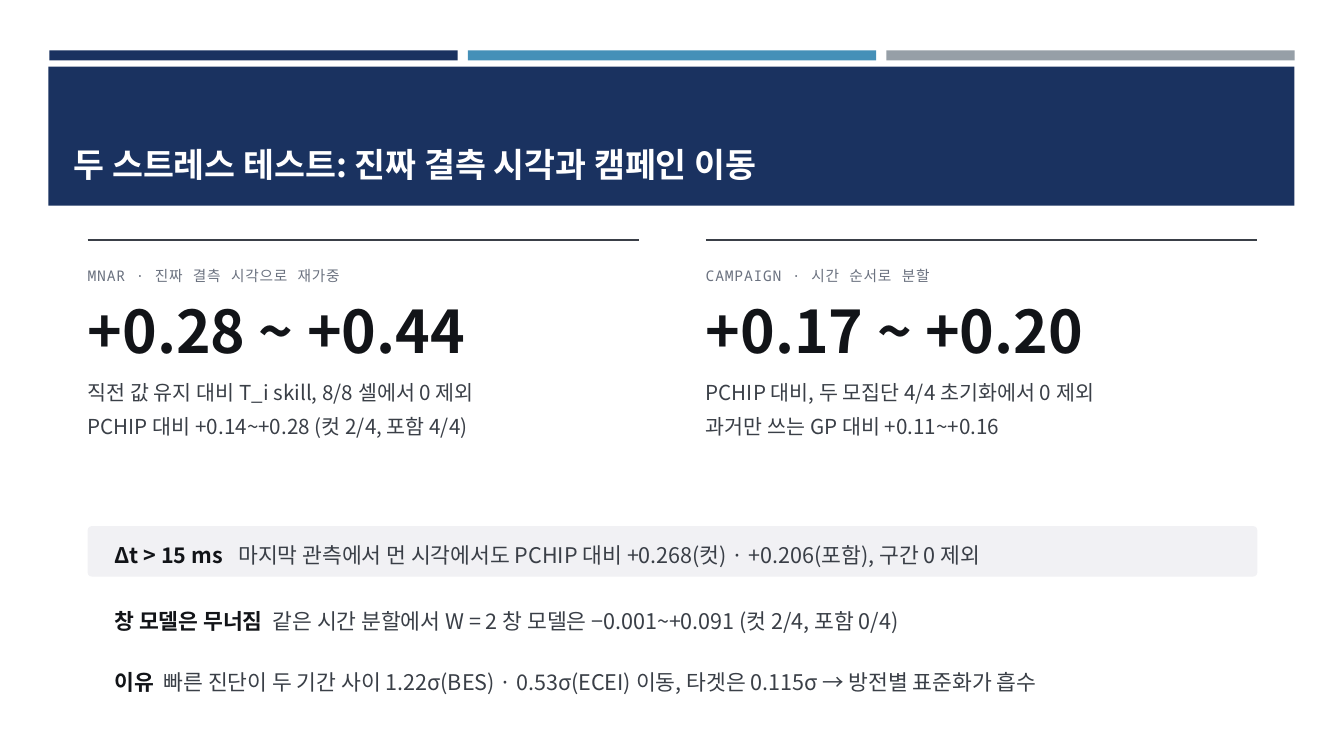
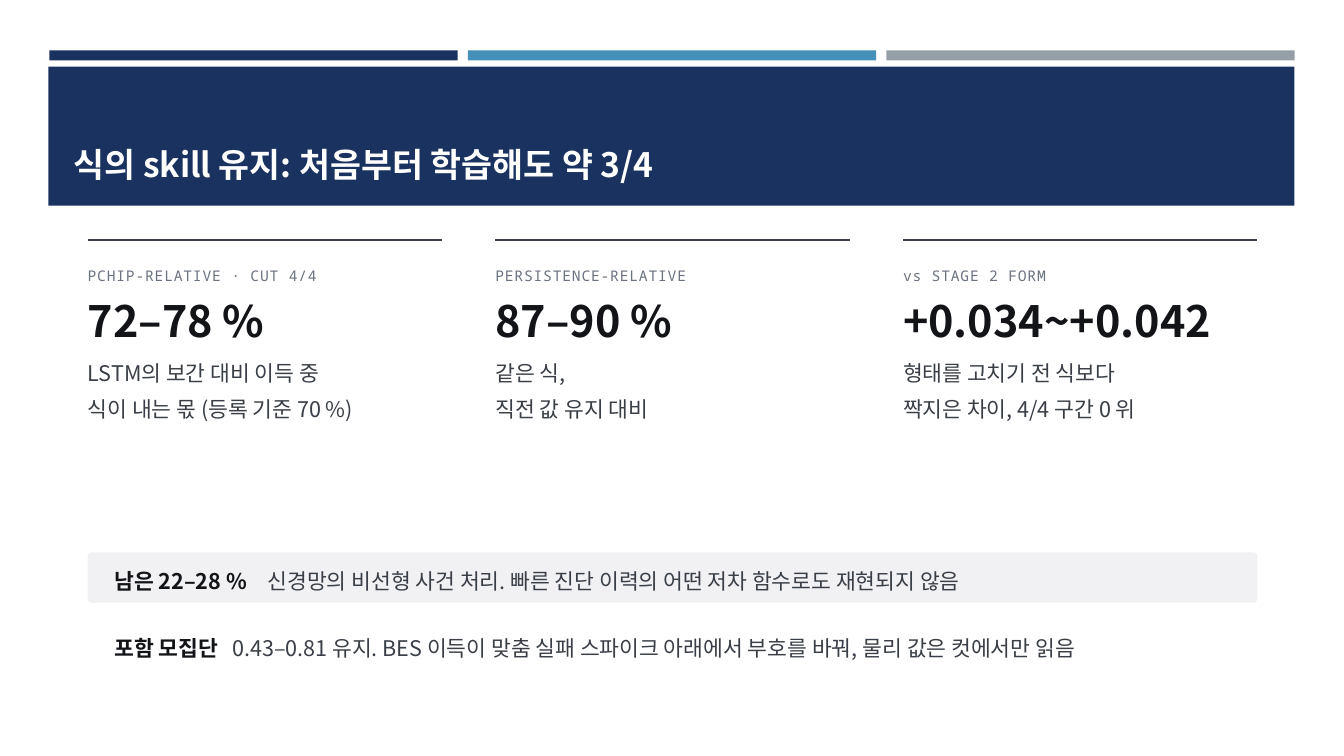
from lxml.etree import SubElement
from pptx import Presentation
from pptx.dml.color import RGBColor
from pptx.enum.shapes import MSO_CONNECTOR, MSO_SHAPE
from pptx.enum.text import MSO_ANCHOR, PP_ALIGN
from pptx.oxml.ns import qn
from pptx.util import Inches, Pt

NAVY = RGBColor(0x1A, 0x32, 0x60)
BLUE = RGBColor(0x45, 0x90, 0xB8)
STEEL = RGBColor(0x96, 0x9F, 0xA7)
WHITE = RGBColor(0xFF, 0xFF, 0xFF)
PANEL = RGBColor(0xF1, 0xF1, 0xF4)
INK = RGBColor(0x12, 0x14, 0x18)
BODY = RGBColor(0x3A, 0x3F, 0x47)
MUTED = RGBColor(0x6B, 0x72, 0x80)
SANS, MONO = "Noto Sans CJK KR", "Noto Sans Mono"

# Content grid, in inches
LEFT, CONTENT_WIDTH = 0.87, 11.6
ROW_INDENT, ROW_HEIGHT = 0.265, 0.5
RULE_TOP, LABEL_TOP, FIGURE_TOP = 2.38, 2.6, 2.92


def write(shape, text, *, size, color, font=SANS, bold=False, line_spacing=None,
          tracking=None, lead=None, tab=None, anchor=None, inset=0):
    """Fill a shape with one paragraph per line; a bold lead runs up to the tab."""
    frame = shape.text_frame
    frame.word_wrap = True
    if anchor is not None:
        frame.vertical_anchor = anchor
    if inset is not None:
        frame.margin_left = frame.margin_right = Inches(inset)
        frame.margin_top = frame.margin_bottom = Inches(inset)
    for index, line in enumerate(text.split("\n")):
        paragraph = frame.add_paragraph() if index else frame.paragraphs[0]
        paragraph.alignment = PP_ALIGN.LEFT
        if line_spacing:
            paragraph.line_spacing = line_spacing
        runs = [(line, bold, color)]
        if lead:
            tabs = SubElement(paragraph._p.get_or_add_pPr(), qn("a:tabLst"))
            SubElement(tabs, qn("a:tab"), pos=str(Inches(tab)), algn="l")
            runs.insert(0, (lead + "\t", True, INK))
        for words, is_bold, shade in runs:
            run = paragraph.add_run()
            run.text = words
            run.font.name, run.font.size = font, Pt(size)
            run.font.bold = is_bold
            run.font.color.rgb = shade
            properties = run.font._element
            SubElement(properties, qn("a:ea"), typeface=font)
            if tracking:
                properties.set("spc", str(round(tracking * 100)))


def add_block(slide, kind, left, top, width, height, color):
    shape = slide.shapes.add_shape(
        kind, Inches(left), Inches(top), Inches(width), Inches(height))
    shape.shadow.inherit = False
    shape.fill.solid()
    shape.fill.fore_color.rgb = color
    shape.line.fill.background()
    return shape


# Content: columns are (label, figure, description), rows are (lead, tab, text, top)
SLIDES = [
    dict(
        title="두 스트레스 테스트: 진짜 결측 시각과 캠페인 이동",
        gap=0.66, figure_size=42, text_size=14.7, text_top=3.67,
        columns=[
            ("MNAR · 진짜 결측 시각으로 재가중", "+0.28 ~ +0.44",
             "직전 값 유지 대비 T_i skill, 8/8 셀에서 0 제외\n"
             "PCHIP 대비 +0.14~+0.28 (컷 2/4, 포함 4/4)"),
            ("CAMPAIGN · 시간 순서로 분할", "+0.17 ~ +0.20",
             "PCHIP 대비, 두 모집단 4/4 초기화에서 0 제외\n"
             "과거만 쓰는 GP 대비 +0.11~+0.16"),
        ],
        rows=[
            ("Δt > 15 ms", 1.23,
             "마지막 관측에서 먼 시각에서도 PCHIP 대비 +0.268(컷) · +0.206(포함), 구간 0 제외", 5.22),
            ("창 모델은 무너짐", 1.57,
             "같은 시간 분할에서 W = 2 창 모델은 −0.001~+0.091 (컷 2/4, 포함 0/4)", 5.88),
            ("이유", 0.49,
             "빠른 진단이 두 기간 사이 1.22σ(BES) · 0.53σ(ECEI) 이동, "
             "타겟은 0.115σ → 방전별 표준화가 흡수", 6.48),
        ],
    ),
    dict(
        title="식의 skill 유지: 처음부터 학습해도 약 3/4",
        gap=0.53, figure_size=30.8, text_size=15.4, text_top=3.47,
        columns=[
            ("PCHIP-RELATIVE · CUT 4/4", "72–78 %",
             "LSTM의 보간 대비 이득 중\n식이 내는 몫 (등록 기준 70 %)"),
            ("PERSISTENCE-RELATIVE", "87–90 %", "같은 식,\n직전 값 유지 대비"),
            ("vs STAGE 2 FORM", "+0.034~+0.042",
             "형태를 고치기 전 식보다\n짝지은 차이, 4/4 구간 0 위"),
        ],
        rows=[
            ("남은 22–28 %", 1.52,
             "신경망의 비선형 사건 처리. 빠른 진단 이력의 어떤 저차 함수로도 재현되지 않음", 5.48),
            ("포함 모집단", 1.17,
             "0.43–0.81 유지. BES 이득이 맞춤 실패 스파이크 아래에서 부호를 바꿔, "
             "물리 값은 컷에서만 읽음", 6.15),
        ],
    ),
]

presentation = Presentation()
presentation.slide_width, presentation.slide_height = Inches(13.33), Inches(7.5)
layout = presentation.slide_layouts[5]

# Title position, shared through the layout
layout_title = layout.placeholders[0]
layout_title.left, layout_title.top = Inches(0.63), Inches(0.8)
layout_title.width, layout_title.height = Inches(12.06), Inches(1.08)

slides = [presentation.slides.add_slide(layout) for _ in SLIDES]

# Coloured bands: drawn once, then moved behind the layout's placeholders
bands = [add_block(slides[0], MSO_SHAPE.RECTANGLE, 0.49 + index * 4.15, 0.5, 4.05, 0.1, color)
         for index, color in enumerate((NAVY, BLUE, STEEL))]
bands.append(add_block(slides[0], MSO_SHAPE.RECTANGLE, 0.48, 0.66, 12.36, 1.38, NAVY))
for position, band in enumerate(bands, start=2):
    layout.element.cSld.spTree.insert(position, band.element)

for slide, content in zip(slides, SLIDES):
    write(slide.shapes.title, content["title"], size=24, color=WHITE, bold=True,
          anchor=MSO_ANCHOR.BOTTOM, inset=None)

    # Key figures in equal columns
    count, gap = len(content["columns"]), content["gap"]
    width = (CONTENT_WIDTH - gap * (count - 1)) / count
    for index, (label, figure, description) in enumerate(content["columns"]):
        left = LEFT + index * (width + gap)
        rule = slide.shapes.add_connector(
            MSO_CONNECTOR.STRAIGHT, Inches(left), Inches(RULE_TOP),
            Inches(left + width), Inches(RULE_TOP))
        rule.line.color.rgb = BODY
        rule.line.width = Pt(1.25)
        SubElement(rule.element.spPr, qn("a:effectLst"))

        parts = [
            (label, LABEL_TOP, 0.23, dict(size=10.5, color=MUTED, font=MONO,
                                          line_spacing=1.25, tracking=0.6)),
            (figure, FIGURE_TOP, 0.87, dict(size=content["figure_size"], color=INK, bold=True)),
            (description, content["text_top"], 1.2, dict(size=content["text_size"], color=BODY,
                                                         line_spacing=1.4)),
        ]
        for text, top, height, text_format in parts:
            box = slide.shapes.add_textbox(
                Inches(left), Inches(top), Inches(width), Inches(height))
            write(box, text, **text_format)

    # Finding rows, the first one highlighted
    for index, (lead, tab, text, top) in enumerate(content["rows"]):
        panel = add_block(slide, MSO_SHAPE.ROUNDED_RECTANGLE, LEFT, top, CONTENT_WIDTH,
                          ROW_HEIGHT, WHITE if index else PANEL)
        panel.adjustments[0] = 0.08
        box = slide.shapes.add_textbox(
            Inches(LEFT + ROW_INDENT), Inches(top),
            Inches(CONTENT_WIDTH - 2 * ROW_INDENT), Inches(ROW_HEIGHT))
        write(box, text, size=15.4, color=BODY, line_spacing=1.25, lead=lead, tab=tab,
              anchor=MSO_ANCHOR.MIDDLE)

presentation.save("out.pptx")
